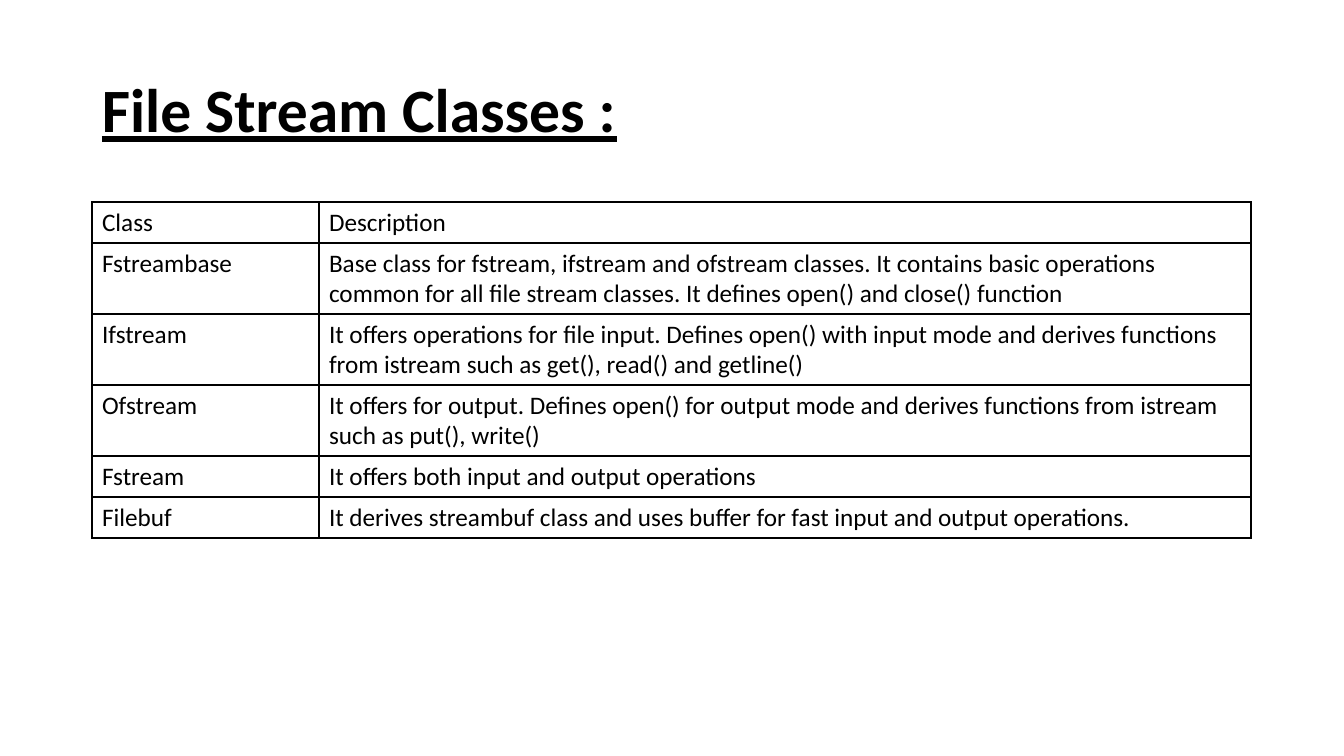
import lxml.etree
import pptx
import pptx.dml.color
import pptx.enum.text
import pptx.oxml.ns
import pptx.util
from dataclasses import dataclass


@dataclass(frozen=True)
class Theme:
    font: str = "Calibri"
    ink: str = "000000"
    title_size: int = 44
    body_size: int = 18
    border_width: float = 1


def px(pixels):
    return pptx.util.Emu(round(pixels * 914400 / 100.8))


def write_text(frame, text, *, theme, size, bold=False, underline=False, line_spacing=1.0):
    paragraph = frame.paragraphs[0]
    paragraph.line_spacing = line_spacing
    run = paragraph.add_run()
    run.text = text
    run.font.name = theme.font
    run.font.size = pptx.util.Pt(size)
    run.font.bold = bold
    run.font.underline = underline
    run.font.color.rgb = pptx.dml.color.RGBColor.from_string(theme.ink)


class SlideBuilder:
    def __init__(self, slide, theme):
        self.slide = slide
        self.theme = theme

    def title(self, text, left, top, width, height):
        box = self.slide.shapes.add_textbox(px(left), px(top), px(width), px(height))
        frame = box.text_frame
        frame.word_wrap = True
        frame.vertical_anchor = pptx.enum.text.MSO_ANCHOR.MIDDLE
        write_text(frame, text, theme=self.theme, size=self.theme.title_size,
                   bold=True, underline=True, line_spacing=0.9)

    def table(self, rows, left, top, column_widths, row_heights):
        frame = self.slide.shapes.add_table(
            len(rows), len(column_widths), px(left), px(top),
            px(sum(column_widths)), px(sum(row_heights)))
        grid = frame.table
        grid.first_row = False
        grid.horz_banding = False
        for column, width in zip(grid.columns, column_widths):
            column.width = px(width)
        for row, height, texts in zip(grid.rows, row_heights, rows):
            row.height = px(height)
            for cell, text in zip(row.cells, texts):
                self.border(cell)
                cell.fill.background()
                write_text(cell.text_frame, text, theme=self.theme, size=self.theme.body_size)

    def border(self, cell):
        qn = pptx.oxml.ns.qn
        properties = cell._tc.get_or_add_tcPr()
        for side in ("lnL", "lnR", "lnT", "lnB"):
            line = lxml.etree.SubElement(properties, qn(f"a:{side}"),
                                         w=str(pptx.util.Pt(self.theme.border_width)))
            fill = lxml.etree.SubElement(line, qn("a:solidFill"))
            lxml.etree.SubElement(fill, qn("a:srgbClr"), val=self.theme.ink)


# Slide
deck = pptx.Presentation()
deck.slide_width, deck.slide_height = px(1344), px(756)
builder = SlideBuilder(deck.slides.add_slide(deck.slide_layouts[6]), Theme())

# Title
LEFT = 92
COLUMN_WIDTHS = (227, 932)
builder.title("File Stream Classes :", LEFT, 40, sum(COLUMN_WIDTHS), 146)

# Table of classes: some descriptions take two lines
ONE_LINE, TWO_LINES = 41, 71
classes = [
    ("Class", "Description"),
    ("Fstreambase", "Base class for fstream, ifstream and ofstream classes. It contains basic "
     "operations common for all file stream classes. It defines open() and close() function"),
    ("Ifstream", "It offers operations for file input. Defines open() with input mode and "
     "derives functions from istream such as get(), read() and getline()"),
    ("Ofstream", "It offers for output. Defines open() for output mode and derives functions "
     "from istream such as put(), write()"),
    ("Fstream", "It offers both input and output operations"),
    ("Filebuf", "It derives streambuf class and uses buffer for fast input and output operations."),
]
row_heights = [TWO_LINES if len(description) > 90 else ONE_LINE for _, description in classes]
builder.table(classes, LEFT, 202, COLUMN_WIDTHS, row_heights)

deck.save("out.pptx")
